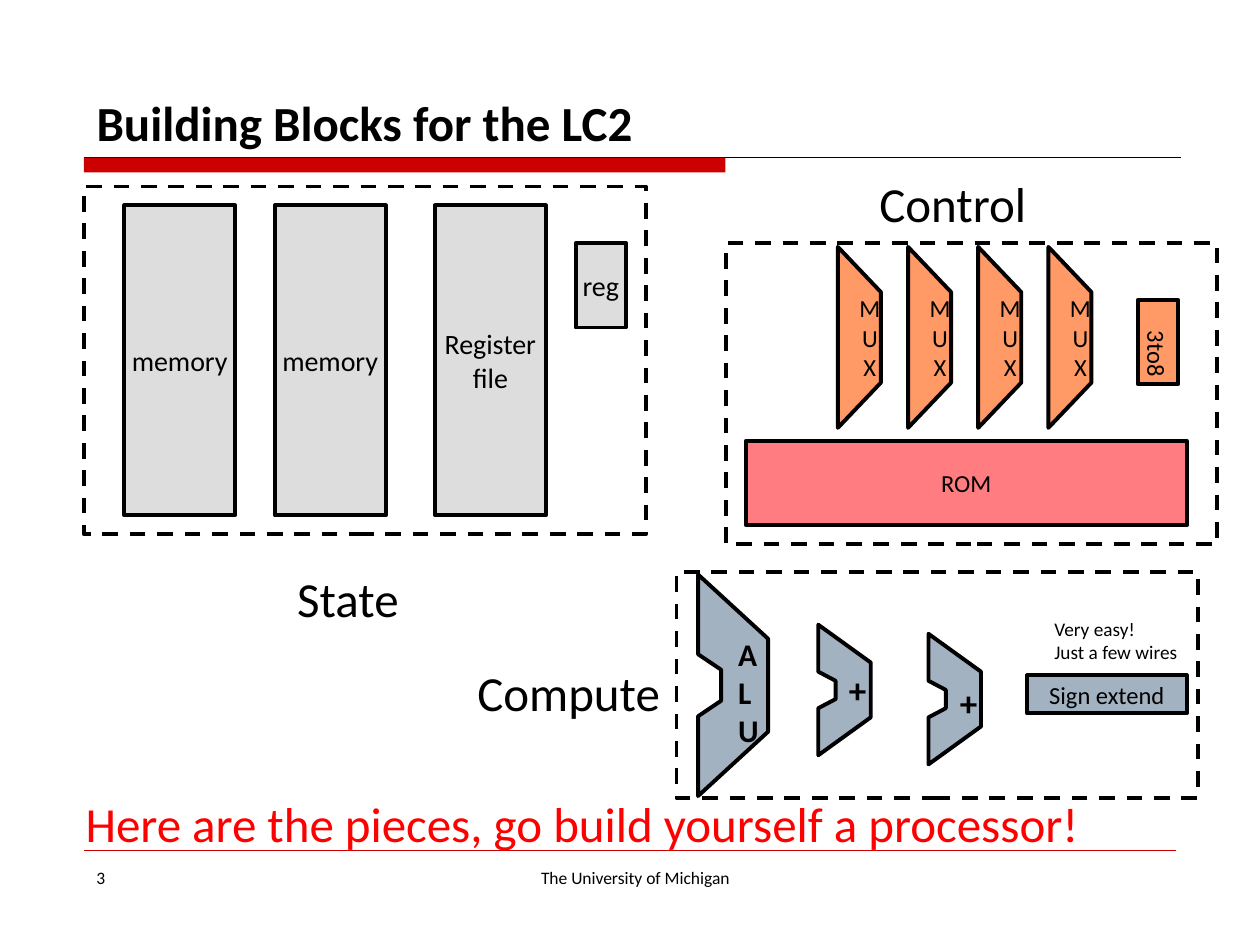
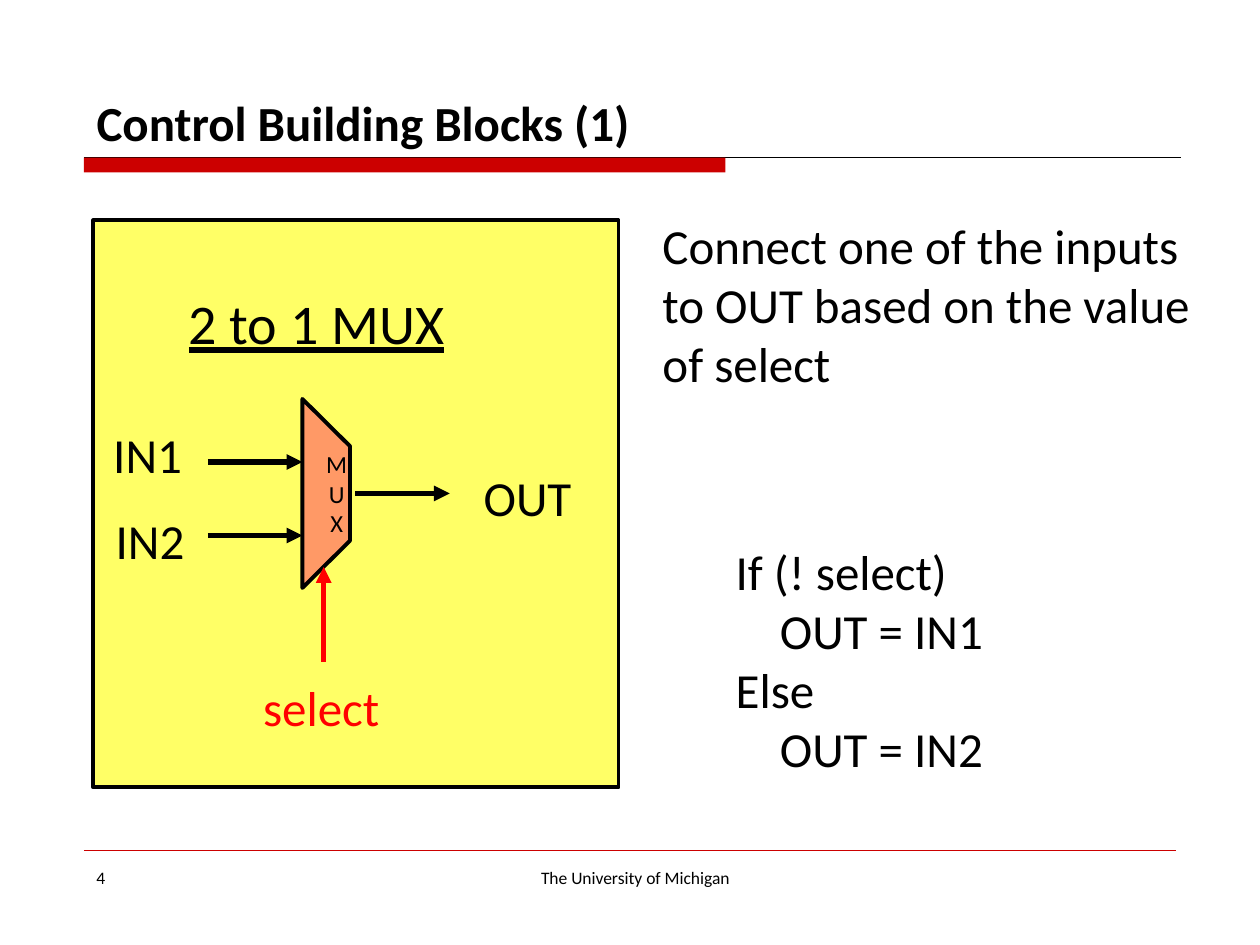
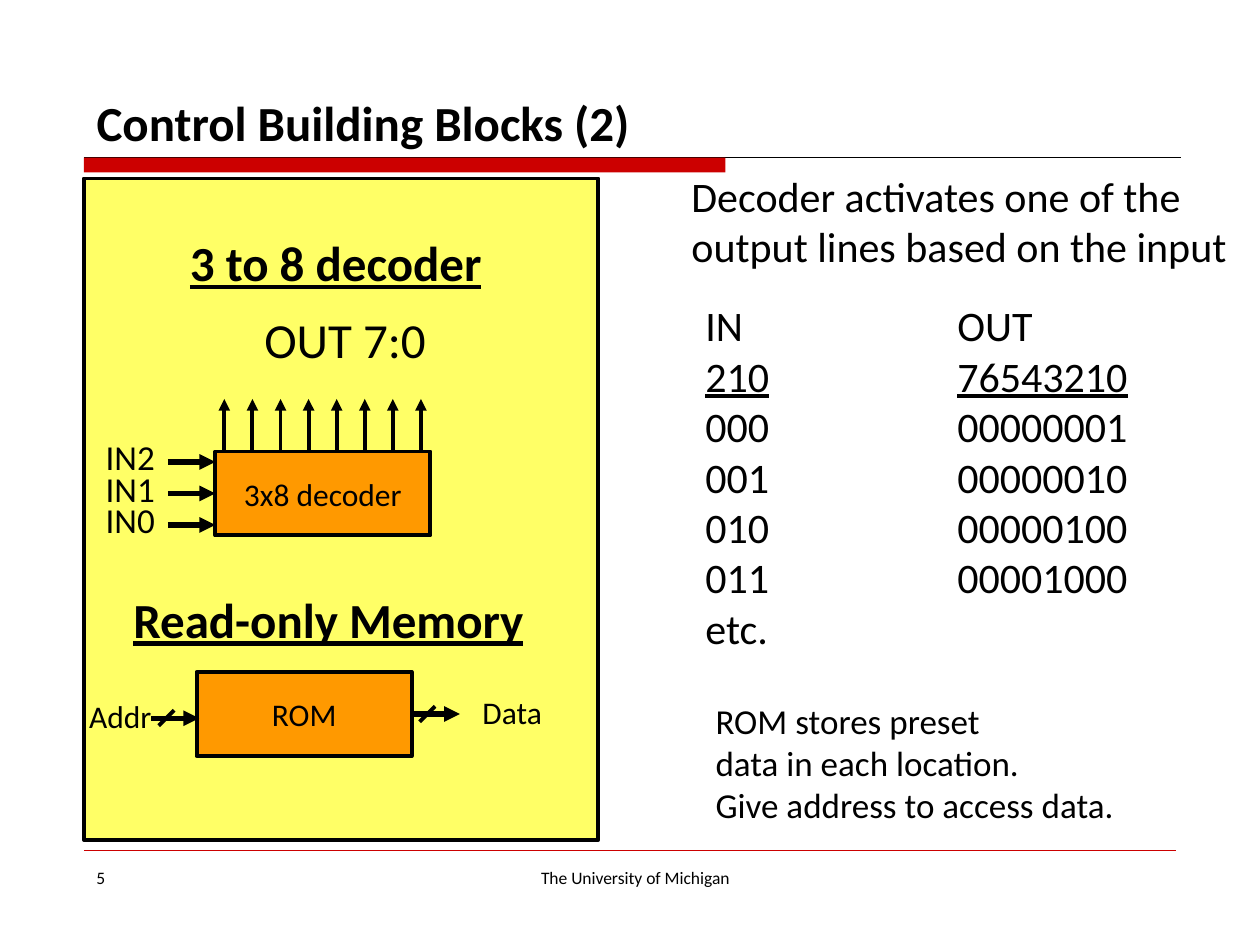
from pptx import Presentation
from pptx.dml.color import RGBColor
from pptx.enum.dml import MSO_LINE
from pptx.enum.shapes import MSO_CONNECTOR as Connector, MSO_SHAPE as Preset
from pptx.enum.text import MSO_ANCHOR as Anchor, MSO_AUTO_SIZE as AutoSize, PP_ALIGN as Align
from pptx.oxml.ns import qn
from pptx.util import Pt
from lxml.etree import SubElement

FONT = "Calibri"
BLACK = "000000"
RED = "FF0000"
BAND = "CC0000"
GREY = "DDDDDD"
STEEL = "A3B2C1"
SALMON = "FF9966"
ROSE = "FF7C80"
YELLOW = "FFFF66"
ORANGE = "FF9900"

LEFT, RIGHT = 1, 3
UNIT_OUTLINE = [(0, 0), (1, 0.29), (1, 0.71), (0, 1), (0, 0.64),
                (0.33, 0.57), (0.33, 0.43), (0, 0.36)]
MUX_OUTLINE = [(0, 0), (1, 0.25), (1, 0.75), (0, 1)]


def rgb(value):
    return RGBColor.from_string(value)


def write(frame, text, size=28, color=BLACK, bold=False, underline=False,
          align=Align.LEFT, anchor=Anchor.TOP, wrap=False, tab=None):
    frame.word_wrap = wrap
    frame.vertical_anchor = anchor
    for index, line in enumerate(text.split("\n")):
        para = frame.paragraphs[0] if index == 0 else frame.add_paragraph()
        para.alignment = align
        if tab:
            tabs = SubElement(para._p.get_or_add_pPr(), qn("a:tabLst"))
            SubElement(tabs, qn("a:tab"), pos=str(Pt(tab)), algn="l")
        span = para.add_run()
        span.text = line
        span.font.name = FONT
        span.font.size = Pt(size)
        span.font.bold = bold
        span.font.underline = underline
        span.font.color.rgb = rgb(color)


class Painter:
    def __init__(self):
        self.deck = Presentation()
        self.deck.slide_width = Pt(720)
        self.deck.slide_height = Pt(540)
        self.page = None

    def start(self, title, number):
        self.page = self.deck.slides.add_slide(self.deck.slide_layouts[5])
        head = self.page.shapes.title
        head.left, head.top, head.width, head.height = map(Pt, (48, 24, 672, 66))
        write(head.text_frame, title, bold=True, anchor=Anchor.BOTTOM, wrap=True)
        self.line(48, 90, 674.6, 90, weight=0.75)
        self.rect(48, 90, 366.5, 8.6, BAND, weight=0)
        self.line(48, 486, 672, 486, BAND, 0.25)
        self.label(228, 492, 270, 19.4, "The University of Michigan", size=10,
                   align=Align.CENTER, wrap=True)
        self.label(48, 492, 168, 37.4, str(number), size=10, wrap=True)

    def finish(self, shape, fill, weight=2.25):
        shape.shadow.inherit = False
        if fill:
            shape.fill.solid()
            shape.fill.fore_color.rgb = rgb(fill)
        else:
            shape.fill.background()
        if weight:
            shape.line.color.rgb = rgb(BLACK)
            shape.line.width = Pt(weight)
        else:
            shape.line.fill.background()
        return shape

    def rect(self, left, top, width, height, fill=None, text="", size=16, weight=2.25):
        box = self.page.shapes.add_shape(
            Preset.RECTANGLE, Pt(left), Pt(top), Pt(width), Pt(height))
        self.finish(box, fill, weight)
        if text:
            write(box.text_frame, text, size=size, align=Align.CENTER, anchor=Anchor.MIDDLE)
        return box

    def dashed(self, left, top, width, height):
        self.rect(left, top, width, height).line.dash_style = MSO_LINE.DASH

    def outline(self, left, top, width, height, fill, points):
        corners = [(Pt(left + x * width), Pt(top + y * height)) for x, y in points]
        builder = self.page.shapes.build_freeform(*corners[0])
        builder.add_line_segments(corners[1:], close=True)
        return self.finish(builder.convert_to_shape(), fill)

    def mux(self, left, top, width, height):
        frame = self.outline(left, top, width, height, SALMON, MUX_OUTLINE).text_frame
        frame.margin_left, frame.margin_right = Pt(12), Pt(0)
        write(frame, "M\nU\nX", size=14, align=Align.CENTER, anchor=Anchor.MIDDLE)

    def label(self, left, top, width, height, text, **style):
        box = self.page.shapes.add_textbox(Pt(left), Pt(top), Pt(width), Pt(height))
        write(box.text_frame, text, **style)
        box.text_frame.auto_size = AutoSize.SHAPE_TO_FIT_TEXT
        return box

    def line(self, x1, y1, x2, y2, color=BLACK, weight=2.25, arrow=False):
        link = self.page.shapes.add_connector(
            Connector.STRAIGHT, Pt(x1), Pt(y1), Pt(x2), Pt(y2))
        link.line.color.rgb = rgb(color)
        link.line.width = Pt(weight)
        if arrow:
            SubElement(link.line._get_or_add_ln(), qn("a:tailEnd"), type="triangle")
        SubElement(link._element.spPr, qn("a:effectLst"))
        return link

    def arrow(self, x1, y1, x2, y2, color=BLACK, weight=3):
        return self.line(x1, y1, x2, y2, color, weight, arrow=True)


def building_blocks(painter):
    painter.start("Building Blocks for the LC2", 3)
    painter.label(41.8, 450, 657.4, 41, "Here are the pieces, go build yourself a processor!",
                  color=RED, wrap=True)

    painter.dashed(48, 106.6, 321.1, 198.7)
    for left, text in ((71, "memory"), (157, "memory"), (248.5, "Register\nfile")):
        painter.rect(left, 117.4, 63.4, 177.1, GREY, text)
    painter.rect(329, 139, 28.8, 48.2, GREY, "reg")
    painter.label(162.7, 321.1, 73.4, 41, "State")

    painter.dashed(414.7, 139, 280.8, 172)
    painter.label(495.4, 95.8, 99.4, 41, "Control")
    for index in range(4):
        painter.mux(478.8 + 40.1 * index, 141.1, 24.6, 103.4)
    painter.rect(426.2, 252, 252, 48.2, ROSE, "ROM", 14)
    painter.rect(650.2, 171.4, 23, 48.2, SALMON)
    painter.label(639, 191.8, 44, 24.3, "3to8", size=14).rotation = 90

    painter.dashed(386.6, 326.9, 298.1, 128.9)
    painter.label(265.7, 375.1, 120.2, 41, "Compute")
    painter.outline(398.9, 328.3, 40, 126.6, STEEL, UNIT_OUTLINE)
    painter.label(414.7, 359.3, 26.6, 72.7, "A\nL\nU", size=18, bold=True)
    for left, top, sign_left, sign_top in ((467.6, 357, 478, 378.7),
                                           (530.6, 362.2, 541.4, 385.9)):
        painter.outline(left, top, 30, 74.6, STEEL, UNIT_OUTLINE)
        painter.label(sign_left, sign_top, 24.5, 31.7, "+", size=20, bold=True)
    painter.rect(586.8, 386, 91.4, 21.6, STEEL, "Sign extend", 14)
    painter.label(595.4, 349.2, 85.7, 33.8, "Very easy!\nJust a few wires", size=11)


def multiplexer(painter):
    painter.start("Control Building Blocks (1)", 4)
    painter.rect(53.3, 126, 300.2, 324, YELLOW)
    painter.label(100.8, 161.3, 162, 46, "2 to 1 MUX", size=32, underline=True)
    painter.mux(172.8, 228, 27.2, 108)
    for y in (264, 306):
        painter.arrow(118.8, y, 172.8, y)
    painter.arrow(203, 282, 257, 282)
    painter.arrow(185, 378, 185, 324, RED)
    painter.label(57.6, 239, 54, 41, "IN1")
    painter.label(59, 288, 54, 41, "IN2")
    painter.label(269.3, 263.5, 64.8, 41, "OUT")
    painter.label(143.3, 383.8, 81.4, 41, "select", color=RED)
    painter.label(413.3, 306, 162, 143.3,
                  "If (! select)\n    OUT = IN1\nElse\n    OUT = IN2")
    painter.label(371.5, 119.5, 319, 108.7,
                  "Connect one of the inputs\nto OUT based on the value\nof select")


def decoder_and_rom(painter):
    painter.start("Control Building Blocks (2)", 5)
    painter.rect(48, 102, 294, 378, YELLOW)

    painter.label(101.5, 129.6, 182.9, 41, "3 to 8 decoder", bold=True, underline=True)
    painter.label(144, 173.5, 108, 41, "OUT 7:0")
    decoder = painter.rect(123, 258, 123, 48, ORANGE, "3x8 decoder", 18)
    for index in range(3):
        y = 264 + 18 * index
        painter.label(53.3, y - 18.5, 42.5, 31.7, f"IN{2 - index}", size=20)
        link = painter.arrow(96, y, 123, y)
        if index == 1:
            link.end_connect(decoder, LEFT)
    for index in range(8):
        x = 128.2 + 16.05 * index
        painter.arrow(x, 258, x, 228, weight=2.25)

    painter.label(69.1, 333.4, 239.8, 41, "Read-only Memory", bold=True, underline=True)
    rom = painter.rect(112.3, 384, 123, 48, ORANGE, "ROM", 18)
    painter.arrow(86.4, 410.4, 113.8, 410.4)
    painter.arrow(235.3, 408, 262.8, 408).begin_connect(rom, RIGHT)
    for x, y in ((90.7, 414.7), (239.8, 412.4)):
        painter.line(x, y, x + 8.8, y - 8.8)
    painter.label(43.9, 394.6, 50.4, 28.8, "Addr", size=18)
    painter.label(268.6, 392.4, 49, 28.8, "Data", size=18)

    painter.label(388, 93.6, 323.3, 65.5,
                  "Decoder activates one of the\noutput lines based on the input", size=24)
    rows = [("IN", "OUT"), ("210", "76543210")]
    rows += [(f"{value:03b}", f"{1 << value:08b}") for value in range(4)]
    text = "\n".join("\t".join(row) for row in rows) + "\netc."
    truth = painter.label(396, 167.8, 257.8, 211, text, size=24, tab=144)
    truth.text_frame.paragraphs[1].runs[0].font.underline = True
    painter.label(401.8, 396, 244, 80,
                  "ROM stores preset\ndata in each location.\nGive address to access data.",
                  size=20)


def main():
    painter = Painter()
    building_blocks(painter)
    multiplexer(painter)
    decoder_and_rom(painter)
    painter.deck.save("out.pptx")


if __name__ == "__main__":
    main()
